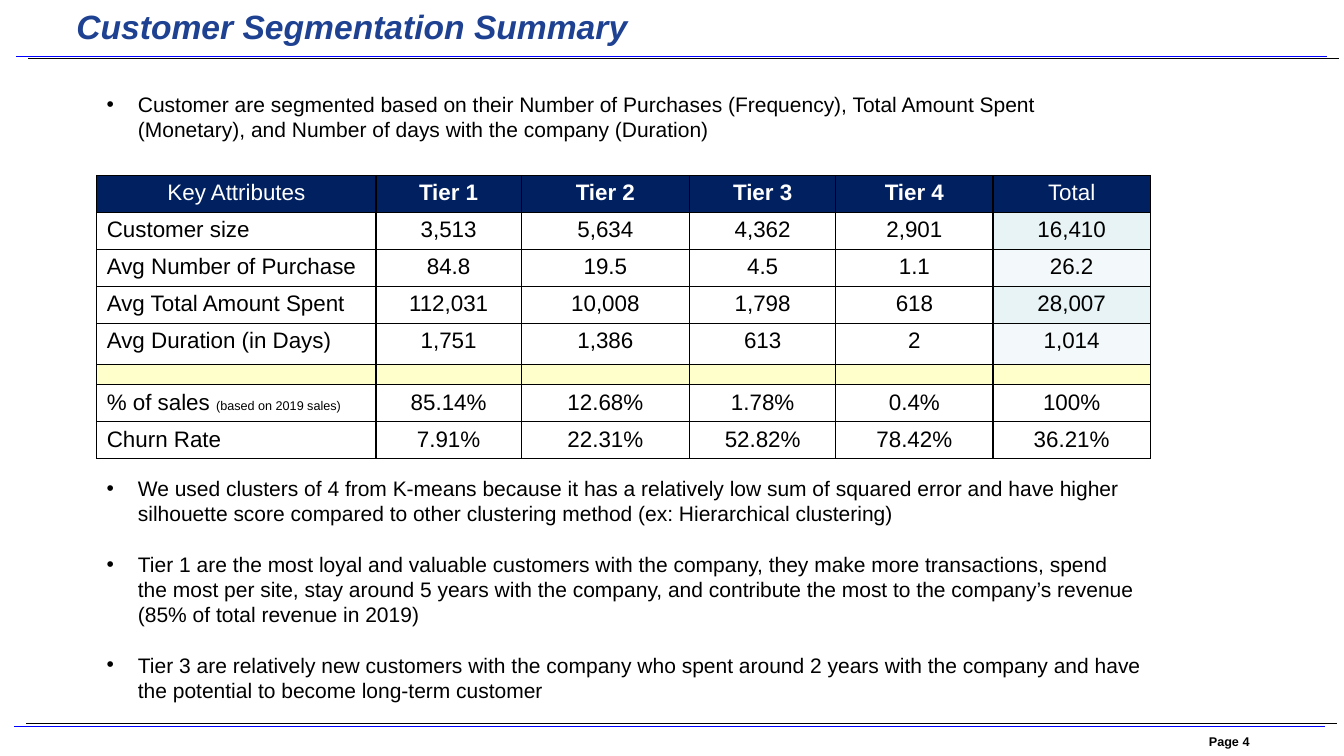
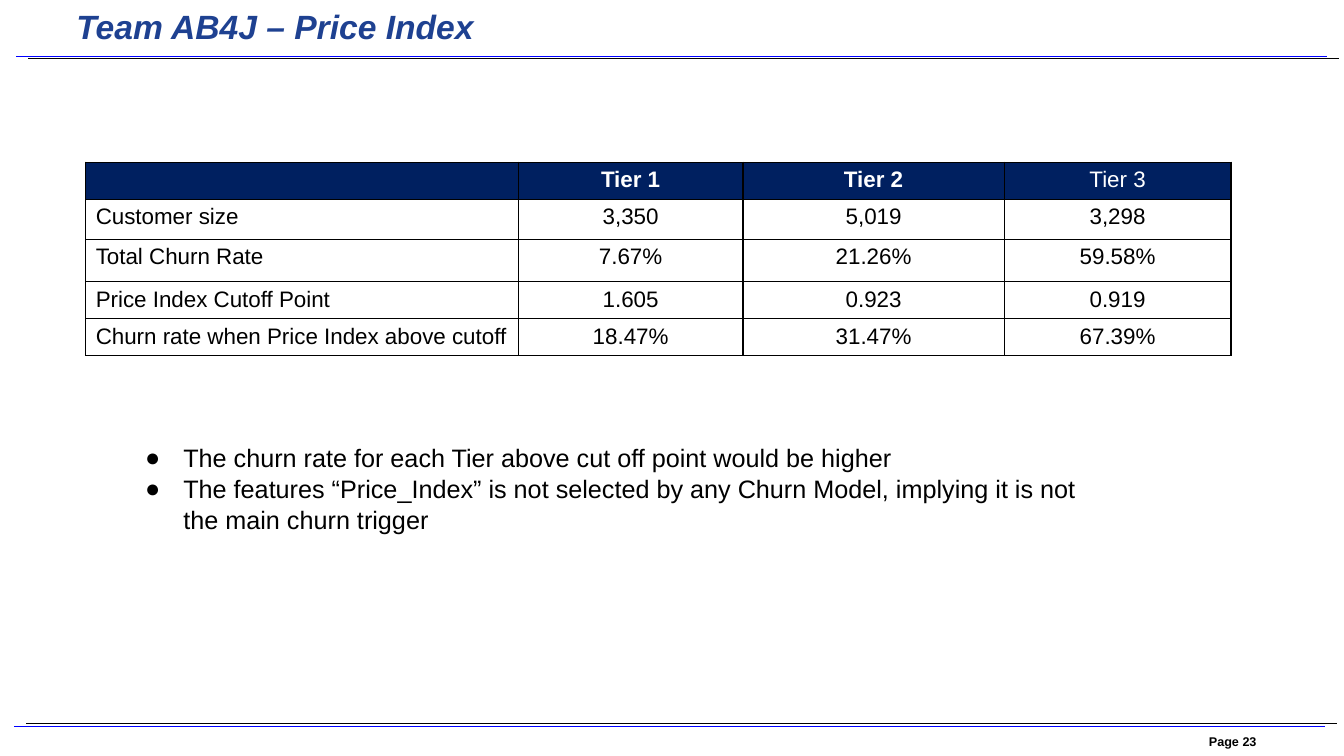
"""Builds two slides on customer tiers: a segment summary and a price index."""
from lxml import etree
from pptx import Presentation
from pptx import util as u
from pptx.dml.color import RGBColor
from pptx.enum import shapes, text
from pptx.oxml import ns

FONT = "Arial"
HUES = {"ink": "000000", "blue": "0000FF", "title": "1E4191", "navy": "002060",
        "white": "FFFFFF", "odd": "E7F3F4", "even": "F3F9FA", "gap": "FFFFCC"}
WIDE, HIGH = 13.33, 7.5
ROW = 0.367
RULES = [(0.14, 7.21, "blue"), (0.26, 7.18, "ink"),
         (0.16, 0.56, "blue"), (0.28, 0.58, "ink")]
RULE = 13

SLIDES = [
    {
        "title": "Customer Segmentation Summary",
        "page": "Page 4",
        "table": {
            "at": (0.96, 1.74),
            "cols": [2.77, 1.44, 1.67, 1.45, 1.56, 1.56],
            "rows": [ROW, ROW, ROW, ROW, 0.41, 0.2, ROW, ROW],
            "light": ["Key Attributes", "Total"],
            "tint": {1: "odd", 2: "even", 3: "odd", 4: "even"},
            "data": [
                ["Key Attributes", "Tier 1", "Tier 2", "Tier 3", "Tier 4", "Total"],
                ["Customer size", "3,513", "5,634", "4,362", "2,901", "16,410"],
                ["Avg Number of Purchase", "84.8", "19.5", "4.5", "1.1", "26.2"],
                ["Avg Total Amount Spent", "112,031", "10,008", "1,798", "618", "28,007"],
                ["Avg Duration (in Days)", "1,751", "1,386", "613", "2", "1,014"],
                [""] * 6,
                [("% of sales ", "(based on 2019 sales)"),
                 "85.14%", "12.68%", "1.78%", "0.4%", "100%"],
                ["Churn Rate", "7.91%", "22.31%", "52.82%", "78.42%", "36.21%"],
            ],
        },
        "lists": [
            {"at": (0.96, 0.86, 10.26, 0.61), "size": 15, "lead": 18, "gap": 18,
             "mark": "•", "dent": (0.31, 0.31), "pad": 0.05,
             "items": ["Customer are segmented based on their Number of Purchases "
                       "(Frequency), Total Amount Spent (Monetary), and Number of days "
                       "with the company (Duration)"]},
            {"at": (0.96, 4.67, 10.47, 2.37), "size": 15, "lead": 18, "gap": 18,
             "mark": "•", "dent": (0.31, 0.31), "pad": 0.05,
             "items": ["We used clusters of 4 from K-means because it has a relatively low "
                       "sum of squared error and have higher silhouette score compared to "
                       "other clustering method (ex: Hierarchical clustering)",
                       "Tier 1 are the most loyal and valuable customers with the company, "
                       "they make more transactions, spend the most per site, stay around "
                       "5 years with the company, and contribute the most to the company’s "
                       "revenue (85% of total revenue in 2019)",
                       "Tier 3 are relatively new customers with the company who spent "
                       "around 2 years with the company and have the potential to become "
                       "long-term customer"]},
        ],
    },
    {
        "title": "Team AB4J – Price Index",
        "page": "Page 23",
        "table": {
            "at": (0.85, 1.61),
            "cols": [4.29, 2.23, 2.59, 2.25],
            "rows": [ROW, 0.4, 0.42, ROW, ROW],
            "light": ["Tier 3"],
            "tint": {},
            "data": [
                ["", "Tier 1", "Tier 2", "Tier 3"],
                ["Customer size", "3,350", "5,019", "3,298"],
                ["Total Churn Rate", "7.67%", "21.26%", "59.58%"],
                ["Price Index Cutoff Point", "1.605", "0.923", "0.919"],
                ["Churn rate when Price Index above cutoff", "18.47%", "31.47%", "67.39%"],
            ],
        },
        "lists": [
            {"at": (1.22, 4.29, 9.68, 1.54), "size": 18, "lead": 21.8, "gap": 0,
             "mark": "●", "dent": (0.5, 0.38), "pad": 0.1,
             "items": ["The churn rate for each Tier above cut off point would be higher",
                       "The features “Price_Index” is not selected by any Churn Model, "
                       "implying it is not the main churn trigger"]},
        ],
    },
]


def tone(name):
    return RGBColor.from_string(HUES[name])


def style(run, size, hue="ink", bold=False, slant=False):
    font = run.font
    font.name, font.size, font.bold, font.italic = FONT, u.Pt(size), bold, slant
    font.color.rgb = tone(hue)


def add_box(slide, at, pad=(0.1, 0.05)):
    frame = slide.shapes.add_textbox(*map(u.Inches, at)).text_frame
    frame.word_wrap = True
    frame.margin_left = frame.margin_right = u.Inches(pad[0])
    frame.margin_top = frame.margin_bottom = u.Inches(pad[1])
    return frame


def add_frame(slide, title, page):
    for left, top, hue in RULES:
        ends = map(u.Inches, (left, top, left + RULE, top))
        line = slide.shapes.add_connector(shapes.MSO_CONNECTOR.STRAIGHT, *ends)
        line.line.color.rgb = tone(hue)
        line.line.width = u.Pt(0.75)
        etree.SubElement(line._element.spPr, ns.qn("a:effectLst"))
    foot = add_box(slide, (11.88, 7.22, 1.51, 0.26), (0.11, 0.06))
    foot.text = page
    style(foot.paragraphs[0].runs[0], 9, bold=True)
    head = add_box(slide, (0.66, 0, 12.03, 0.52))
    head.vertical_anchor = text.MSO_ANCHOR.MIDDLE
    head.text = title
    style(head.paragraphs[0].runs[0], 24, "title", True, True)


def add_edges(cell):
    props = cell._tc.get_or_add_tcPr()
    for spot, side in enumerate(("lnL", "lnR", "lnT", "lnB")):
        edge = etree.Element(ns.qn("a:" + side), w=str(u.Pt(1)))
        fill = etree.SubElement(edge, ns.qn("a:solidFill"))
        etree.SubElement(fill, ns.qn("a:srgbClr"), val=HUES["ink"])
        props.insert(spot, edge)


def fill_cell(cell, words, hue, head, light, center):
    cell.fill.solid()
    cell.fill.fore_color.rgb = tone(hue)
    add_edges(cell)
    para = cell.text_frame.paragraphs[0]
    if not words:
        para._p.get_or_add_endParaRPr().set("sz", "500")
        return
    if center:
        para.alignment = text.PP_ALIGN.CENTER
    parts = (words,) if isinstance(words, str) else words
    for part, size in zip(parts, (16, 9)):
        run = para.add_run()
        run.text = part
        style(run, size, "white" if head else "ink", head and not light)


def add_grid(slide, plan):
    data, cols, rows = plan["data"], plan["cols"], plan["rows"]
    spot = map(u.Inches, (*plan["at"], sum(cols), sum(rows)))
    grid = slide.shapes.add_table(len(rows), len(cols), *spot).table
    grid.first_row = grid.horz_banding = False
    for col, width in zip(grid.columns, cols):
        col.width = u.Inches(width)
    for y, (row, height) in enumerate(zip(grid.rows, rows)):
        row.height = u.Inches(height)
        for x, words in enumerate(data[y]):
            hue = "navy" if y == 0 else "white" if any(data[y]) else "gap"
            if x == len(cols) - 1:
                hue = plan["tint"].get(y, hue)
            fill_cell(grid.cell(y, x), words, hue, y == 0,
                      words in plan["light"], x > 0 or y == 0)


def add_list(slide, plan):
    frame = add_box(slide, plan["at"], (0.1, plan["pad"]))
    left, hang = plan["dent"]
    for spot, item in enumerate(plan["items"]):
        para = frame.add_paragraph() if spot else frame.paragraphs[0]
        para.text = item
        para.line_spacing = u.Pt(plan["lead"])
        para.space_before = u.Pt(plan["gap"] if spot else 0)
        style(para.runs[0], plan["size"])
        props = para._p.get_or_add_pPr()
        props.set("marL", str(u.Inches(left)))
        props.set("indent", str(-u.Inches(hang)))
        etree.SubElement(props, ns.qn("a:buFont"), typeface=FONT)
        etree.SubElement(props, ns.qn("a:buChar"), char=plan["mark"])


def main():
    deck = Presentation()
    deck.slide_width, deck.slide_height = u.Inches(WIDE), u.Inches(HIGH)
    for plan in SLIDES:
        slide = deck.slides.add_slide(deck.slide_layouts[6])
        add_frame(slide, plan["title"], plan["page"])
        add_grid(slide, plan["table"])
        for part in plan["lists"]:
            add_list(slide, part)
    deck.save("out.pptx")


if __name__ == "__main__":
    main()
